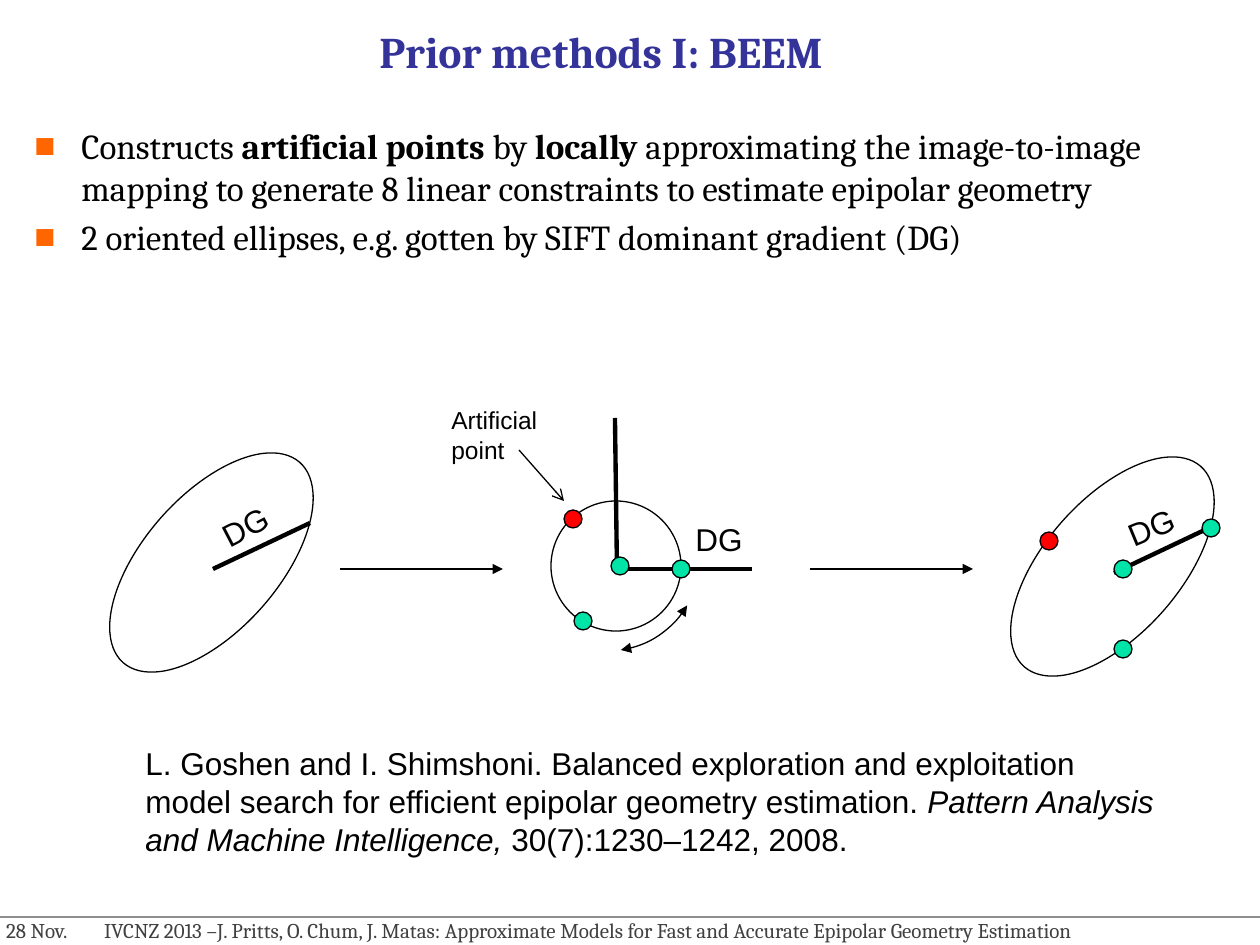
import pptx
import pptx.dml.color
import pptx.enum.shapes
import pptx.enum.text
import pptx.oxml
import pptx.oxml.ns
import pptx.util
from dataclasses import dataclass

EMU_PER_PX = 914400 / 126
SHAPES = pptx.enum.shapes.MSO_SHAPE
ALIGN = pptx.enum.text.PP_ALIGN
ANCHOR = pptx.enum.text.MSO_ANCHOR
AUTO_SIZE = pptx.enum.text.MSO_AUTO_SIZE


@dataclass(frozen=True)
class Theme:
    serif: str = "Cambria"
    sans: str = "Arial"
    title: str = "333399"
    bullet: str = "FF6600"
    ink: str = "000000"
    footer: str = "404040"
    rule: str = "8E8E8E"
    measured: str = "00E4A8"
    artificial: str = "FF0000"
    title_size: int = 25
    body_size: int = 20
    label_size: int = 18
    note_size: int = 14
    footer_size: int = 12
    thin: float = 0.75
    thick: float = 2.5


THEME = Theme()


def px(*lengths):
    return [pptx.util.Emu(round(length * EMU_PER_PX)) for length in lengths]


def rgb(value):
    return pptx.dml.color.RGBColor.from_string(value)


def add_element(parent, tag, **attributes):
    element = pptx.oxml.parse_xml(f"<a:{tag} {pptx.oxml.ns.nsdecls('a')}/>")
    for name, value in attributes.items():
        element.set(name, str(value))
    parent.append(element)
    return element


def set_font(font, color, **values):
    for name, value in values.items():
        setattr(font, name, value)
    font.color.rgb = rgb(color)


def write_paragraphs(text_frame, paragraphs, color, **values):
    """Each paragraph is a list of (text, extra font values) runs."""
    for index, runs in enumerate(paragraphs):
        paragraph = text_frame.paragraphs[0] if index == 0 else text_frame.add_paragraph()
        for text, extra in runs:
            run = paragraph.add_run()
            run.text = text
            set_font(run.font, color, **{**values, **extra})


def add_text(slide, box, paragraphs, size, font=THEME.sans, color=THEME.ink,
             wrap=False, rotation=0):
    shape = slide.shapes.add_textbox(*px(*box))
    shape.rotation = rotation
    text_frame = shape.text_frame
    text_frame.word_wrap = wrap
    text_frame.auto_size = AUTO_SIZE.NONE if wrap else AUTO_SIZE.SHAPE_TO_FIT_TEXT
    write_paragraphs(text_frame, paragraphs, color, name=font, size=pptx.util.Pt(size))
    return text_frame


def set_line(line, color, width, head=None, tail=None):
    line.color.rgb = rgb(color)
    line.width = pptx.util.Pt(width)
    for tag, kind in (("headEnd", head), ("tailEnd", tail)):
        if kind:
            add_element(line._get_or_add_ln(), tag, type=kind)


def add_line(slide, start, end, width=THEME.thin, color=THEME.ink, tail=None):
    connector = slide.shapes.add_connector(
        pptx.enum.shapes.MSO_CONNECTOR.STRAIGHT, *px(*start, *end))
    set_line(connector.line, color, width, tail=tail)
    add_element(connector._element.spPr, "effectLst")


def add_outline(slide, kind, box, fill=None, rotation=0, **ends):
    shape = slide.shapes.add_shape(kind, *px(*box))
    shape.shadow.inherit = False
    shape.rotation = rotation
    if fill:
        shape.fill.solid()
        shape.fill.fore_color.rgb = rgb(fill)
    else:
        shape.fill.background()
    set_line(shape.line, THEME.ink, THEME.thin, **ends)
    return shape


def add_dot(slide, center, color):
    radius = 9
    x, y = center
    add_outline(slide, SHAPES.OVAL, (x - radius, y - radius, 2 * radius, 2 * radius), color)


def add_footer(slide):
    add_line(slide, (0, 917), (1260, 917), color=THEME.rule)
    text = ("28 Nov.\tIVCNZ 2013 –J. Pritts, O. Chum, J. Matas: "
            "Approximate Models for Fast and Accurate Epipolar Geometry Estimation")
    text_frame = add_text(slide, (6, 911, 1240, 38), [[(text, {})]], THEME.footer_size,
                          THEME.serif, THEME.footer, wrap=True)
    text_frame.margin_left = 0
    properties = text_frame.paragraphs[0]._p.get_or_add_pPr()
    add_element(add_element(properties, "tabLst"), "tab", pos=px(98)[0], algn="l")


def add_title(slide, text):
    title = slide.shapes.title
    title.left, title.top, title.width, title.height = px(135, 21, 932, 63)
    title.text_frame.vertical_anchor = ANCHOR.BOTTOM
    write_paragraphs(title.text_frame, [[(text, {})]], THEME.title, name=THEME.serif,
                     size=pptx.util.Pt(THEME.title_size), bold=True)
    title.text_frame.paragraphs[0].alignment = ALIGN.CENTER


def add_bullets(slide, paragraphs):
    text_frame = add_text(slide, (22, 118, 1218, 791), paragraphs, THEME.body_size,
                          THEME.serif, wrap=True)
    indent = px(47)[0]
    for index, paragraph in enumerate(text_frame.paragraphs):
        if index:
            paragraph.space_before = pptx.util.Pt(4)
        properties = paragraph._p.get_or_add_pPr()
        properties.set("marL", str(indent))
        properties.set("indent", str(-indent))
        add_element(add_element(properties, "buClr"), "srgbClr", val=THEME.bullet)
        add_element(properties, "buFont", typeface=THEME.sans)
        add_element(properties, "buChar", char="■")


def add_diagram(slide):
    # Ellipses on both sides, and the circle they are normalised to
    for left, top in ((78, 495), (979, 499)):
        add_outline(slide, SHAPES.OVAL, (left, top, 267, 135), rotation=311.4)
    add_outline(slide, SHAPES.OVAL, (551, 501, 130, 130))

    # Steps between the three frames
    for left in (340, 810):
        add_line(slide, (left, 569), (left + 163, 569), tail="triangle")

    # Dominant gradients and the circle's axes
    for start, end in (((213, 569), (310, 523)), ((615, 418), (617, 569)),
                       ((752, 569), (620, 569)), ((1114, 573), (1211, 527))):
        add_line(slide, start, end, THEME.thick)

    # Points
    for center in ((573, 519), (1049, 541)):
        add_dot(slide, center, THEME.artificial)
    for center in ((583, 621), (681, 569), (620, 566),
                   (1123, 649), (1211, 528), (1123, 569)):
        add_dot(slide, center, THEME.measured)

    # Rotation arc
    arc = add_outline(slide, SHAPES.ARC, (515, 466, 185, 185), rotation=78.8,
                      head="triangle", tail="triangle")
    arc.adjustments[0], arc.adjustments[1] = 187.05, 1.75

    # Labels
    for left, top, rotation in ((210, 498, 332.5), (683, 514, 0), (1116, 499, 337.5)):
        add_text(slide, (left, top, 83, 58), [[("DG", {})]], THEME.label_size,
                 rotation=rotation)
    add_text(slide, (439, 399, 129, 82), [[("Artificial", {})], [("point", {})]],
             THEME.note_size)
    add_line(slide, (519, 450), (564, 501), tail="arrow")


def main():
    presentation = pptx.Presentation()
    presentation.slide_width, presentation.slide_height = px(1260, 945)
    slide = presentation.slides.add_slide(presentation.slide_layouts[5])
    bold, italic = {"bold": True}, {"italic": True}

    add_footer(slide)
    add_title(slide, "Prior methods I: BEEM")
    add_bullets(slide, [
        [("Constructs", {}), (" artificial points ", bold), ("by ", {}), ("locally", bold),
         (" approximating the image-to-image mapping to generate 8 linear constraints "
          "to estimate epipolar geometry", {})],
        [("2 oriented ellipses, e.g. gotten by SIFT dominant gradient (DG)", {})],
    ])
    add_diagram(slide)
    add_text(slide, (133, 738, 1051, 127), [
        [("L. Goshen and I. Shimshoni. Balanced exploration and exploitation", {})],
        [("model search for efficient epipolar geometry estimation. ", {}),
         ("Pattern Analysis", italic)],
        [("and Machine Intelligence, ", italic), ("30(7):1230–1242, 2008.", {})],
    ], THEME.label_size)
    presentation.save("out.pptx")


if __name__ == "__main__":
    main()
